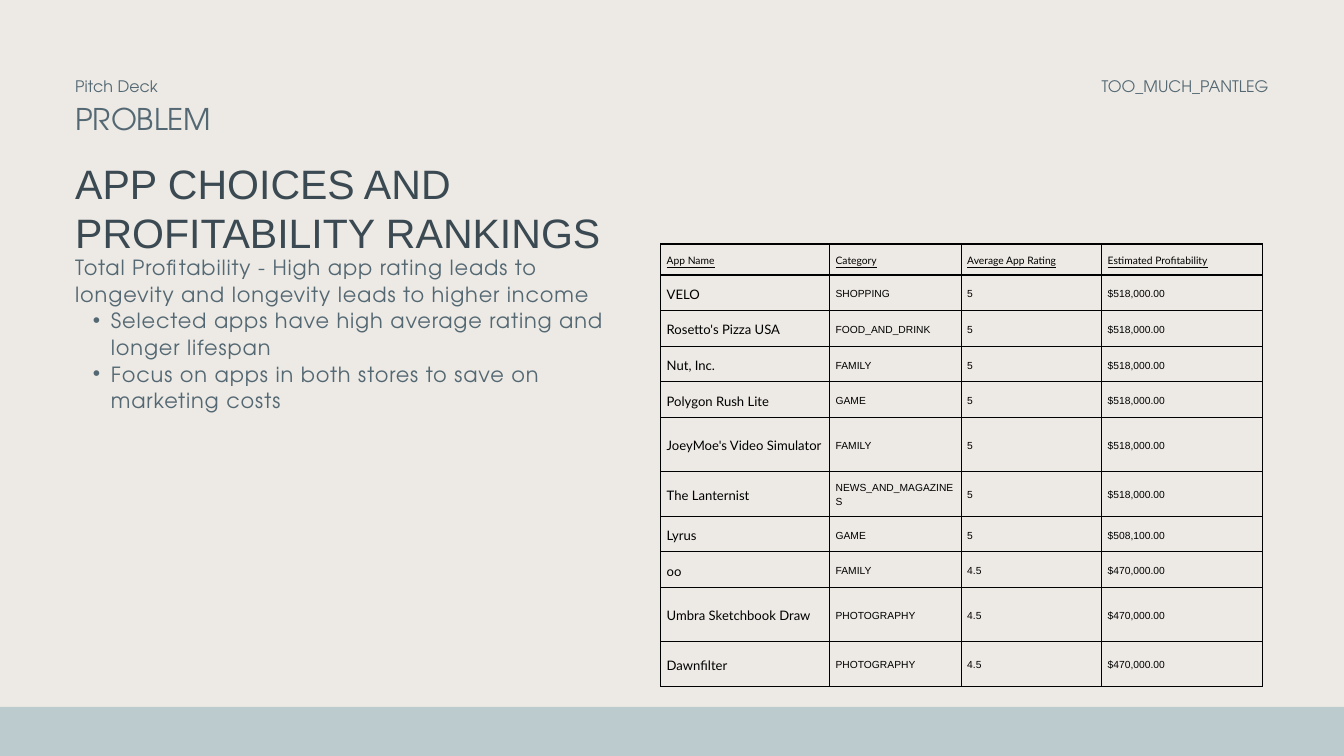
from dataclasses import dataclass

from pptx import Presentation
from pptx.dml.color import RGBColor as RGB
from pptx.enum.shapes import MSO_SHAPE as Shape
from pptx.enum.text import MSO_ANCHOR as Anchor, MSO_AUTO_SIZE as AutoSize, PP_ALIGN as Align
from pptx.oxml.ns import qn
from pptx.util import Pt
from lxml.etree import SubElement


@dataclass(frozen=True)
class TextStyle:
    font: str
    size: float
    color: str
    leading: float
    tracking: float = 0
    underline: bool = False


class Theme:
    paper, band, border = "EDEAE5", "BCCBCE", "000000"
    slate, ink, black = "546873", "3B4A52", "000000"
    display, plain, table = "TeX Gyre Adventor", "Arial", "Lato"

    label = TextStyle(display, 17, slate, 23.8)
    section = TextStyle(display, 32, slate, 44.8)
    title = TextStyle(plain, 44, ink, 52.8)
    body = TextStyle(display, 22.4, slate, 28.5, tracking=0.9)
    header = TextStyle(table, 11, black, 15.4, underline=True)
    app = TextStyle(table, 14, black, 19.6)
    value = TextStyle(plain, 11, black, 15.4)


class SlideBuilder:
    def __init__(self, slide, theme):
        self.slide, self.theme = slide, theme
        fill = slide.background.fill
        fill.solid()
        fill.fore_color.rgb = RGB.from_string(theme.paper)

    def add_words(self, paragraph, words, style, align=Align.LEFT):
        paragraph.alignment = align
        paragraph.line_spacing = Pt(style.leading)
        paragraph.space_before = paragraph.space_after = Pt(0)
        run = paragraph.add_run()
        run.text = words
        font = run.font
        font.name, font.size, font.underline = style.font, Pt(style.size), style.underline
        font.color.rgb = RGB.from_string(style.color)
        if style.tracking:
            run._r.get_or_add_rPr().set("spc", str(round(style.tracking * 100)))

    def fill_frame(self, shape, lines, style, align=Align.LEFT):
        frame = shape.text_frame
        frame.word_wrap, frame.auto_size = True, AutoSize.NONE
        frame.vertical_anchor = Anchor.TOP
        frame.margin_left = frame.margin_right = frame.margin_top = frame.margin_bottom = 0
        for i, line in enumerate(lines):
            paragraph = frame.add_paragraph() if i else frame.paragraphs[0]
            self.add_words(paragraph, line, style, align)
        return frame.paragraphs

    def place(self, shape, left, top, width, height):
        shape.left, shape.top = Pt(left), Pt(top)
        shape.width, shape.height = Pt(width), Pt(height)

    def band(self, left, top, width, height):
        bar = self.slide.shapes.add_shape(
            Shape.RECTANGLE, Pt(left), Pt(top), Pt(width), Pt(height))
        bar.shadow.inherit = False
        bar.fill.solid()
        bar.fill.fore_color.rgb = RGB.from_string(self.theme.band)
        bar.line.fill.background()

    def text(self, words, style, left, top, width, height, align=Align.LEFT):
        box = self.slide.shapes.add_textbox(Pt(left), Pt(top), Pt(width), Pt(height))
        self.fill_frame(box, [words], style, align)

    def title(self, lines, *place):
        title = self.slide.shapes.title
        self.place(title, *place)
        self.fill_frame(title, lines, self.theme.title)

    def body(self, lead, points, *place):
        body = self.slide.placeholders[1]
        self.place(body, *place)
        first, *bullets = self.fill_frame(body, [lead, *points], self.theme.body)
        self.indent(first, 0, 0)
        SubElement(first._p.pPr, qn("a:buNone"))
        for bullet in bullets:
            bullet.level = 1
            self.indent(bullet, 38.2, -19.4)
            SubElement(bullet._p.pPr, qn("a:buChar")).set("char", "•")

    def indent(self, paragraph, margin, hanging):
        props = paragraph._p.get_or_add_pPr()
        props.set("marL", str(Pt(margin)))
        props.set("indent", str(Pt(hanging)))

    def table(self, header, rows, widths, heights, left, top):
        grid = self.slide.shapes.add_table(
            len(rows) + 1, len(header), Pt(left), Pt(top),
            Pt(sum(widths)), Pt(sum(heights))).table
        grid.first_row = grid.horz_banding = False
        for column, width in zip(grid.columns, widths):
            column.width = Pt(width)
        for row, height in zip(grid.rows, heights):
            row.height = Pt(height)
        for r, record in enumerate([header, *rows]):
            for c, words in enumerate(record):
                style = self.theme.app if c == 0 else self.theme.value
                self.cell(grid.cell(r, c), words, style if r else self.theme.header)

    def cell(self, cell, words, style):
        cell.vertical_anchor = Anchor.MIDDLE
        cell.margin_left = cell.margin_right = Pt(6.5)
        cell.margin_top = cell.margin_bottom = Pt(6.5)
        self.add_words(cell.text_frame.paragraphs[0], words, style)
        # Borders come before the fill in the cell properties
        props = cell._tc.get_or_add_tcPr()
        for side in ("lnL", "lnR", "lnT", "lnB"):
            line = SubElement(props, qn(f"a:{side}"))
            line.set("w", str(Pt(1.5)))
            solid = SubElement(line, qn("a:solidFill"))
            SubElement(solid, qn("a:srgbClr")).set("val", self.theme.border)
        cell.fill.background()


HEADER = ["App Name", "Category", "Average App Rating", "Estimated Profitability"]
APPS = [
    ("VELO", "SHOPPING", "5", "$518,000.00"),
    ("Rosetto's Pizza USA", "FOOD_AND_DRINK", "5", "$518,000.00"),
    ("Nut, Inc.", "FAMILY", "5", "$518,000.00"),
    ("Polygon Rush Lite", "GAME", "5", "$518,000.00"),
    ("JoeyMoe's Video Simulator", "FAMILY", "5", "$518,000.00"),
    ("The Lanternist", "NEWS_AND_MAGAZINES", "5", "$518,000.00"),
    ("Lyrus", "GAME", "5", "$508,100.00"),
    ("oo", "FAMILY", "4.5", "$470,000.00"),
    ("Umbra Sketchbook Draw", "PHOTOGRAPHY", "4.5", "$470,000.00"),
    ("Dawnfilter", "PHOTOGRAPHY", "4.5", "$470,000.00"),
]
COLUMN_WIDTHS = [181, 141, 150.5, 172]
HEADER_ROW, ROW, MEDIUM_ROW, TALL_ROW = 33.1, 38.2, 48.2, 57.6
ROW_HEIGHTS = [HEADER_ROW, *[ROW] * 4, TALL_ROW, MEDIUM_ROW,
               *[ROW] * 2, TALL_ROW, MEDIUM_ROW]


def main():
    deck = Presentation()
    deck.slide_width, deck.slide_height = Pt(1440), Pt(810)
    theme = Theme()
    page = SlideBuilder(deck.slides.add_slide(deck.slide_layouts[1]), theme)
    margin = 80.6

    # Bottom band
    page.band(0, 757.5, 1440, 52.5)

    # Ranking table
    page.table(HEADER, APPS, COLUMN_WIDTHS, ROW_HEIGHTS, 707.8, 261.5)

    # Running header and section name
    page.text("Pitch Deck", theme.label, margin, 79.2, 231, 21.6)
    page.text("TOO_MUCH_PANTLEG", theme.label, 1129, 79.2, 230.4, 21.6, Align.RIGHT)
    page.text("PROBLEM", theme.section, margin, 101.5, 227.5, 42.5)

    # Title and argument
    page.title(["APP CHOICES AND", "PROFITABILITY RANKINGS"], margin, 169.2, 607.7, 104.4)
    page.body(
        "Total Profitability - High app rating leads to longevity "
        "and longevity leads to higher income",
        ["Selected apps have high average rating and longer lifespan",
         "Focus on apps in both stores to save on marketing costs"],
        margin, 271.4, 568.8, 170.6)

    deck.save("out.pptx")


if __name__ == "__main__":
    main()
